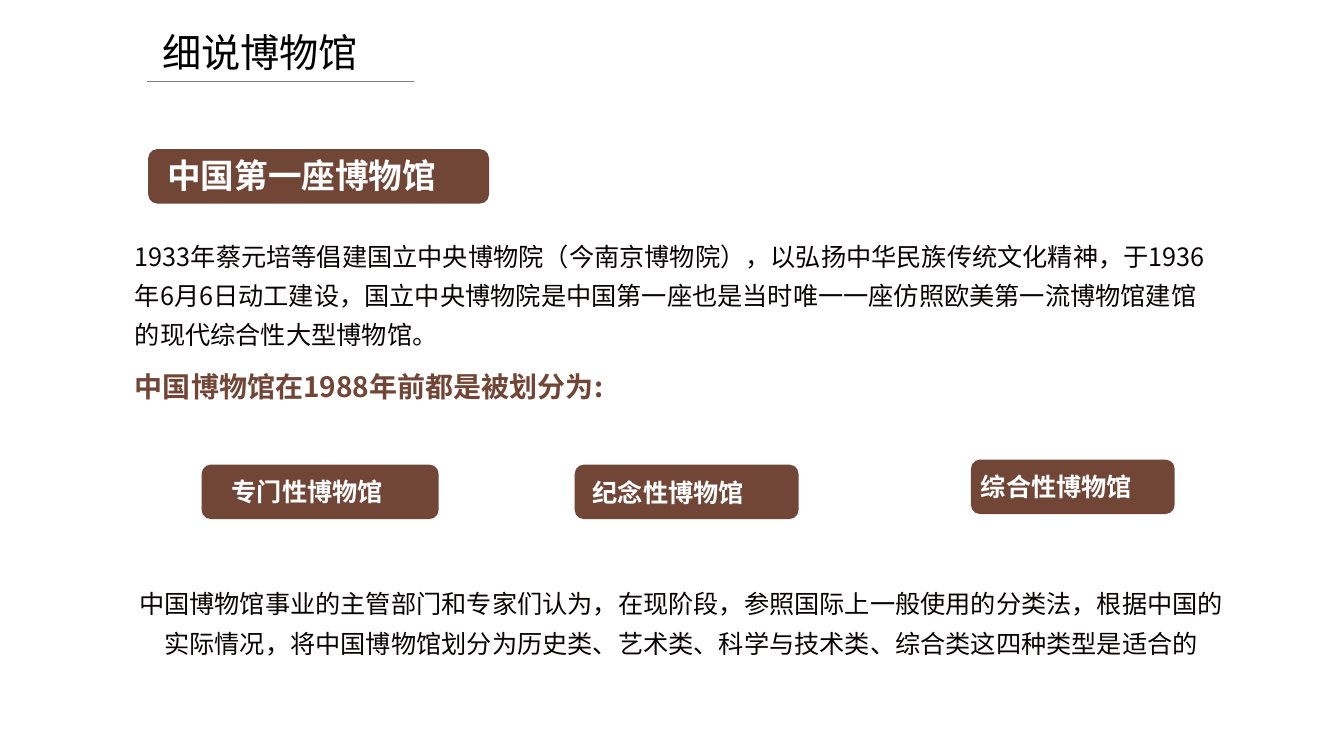
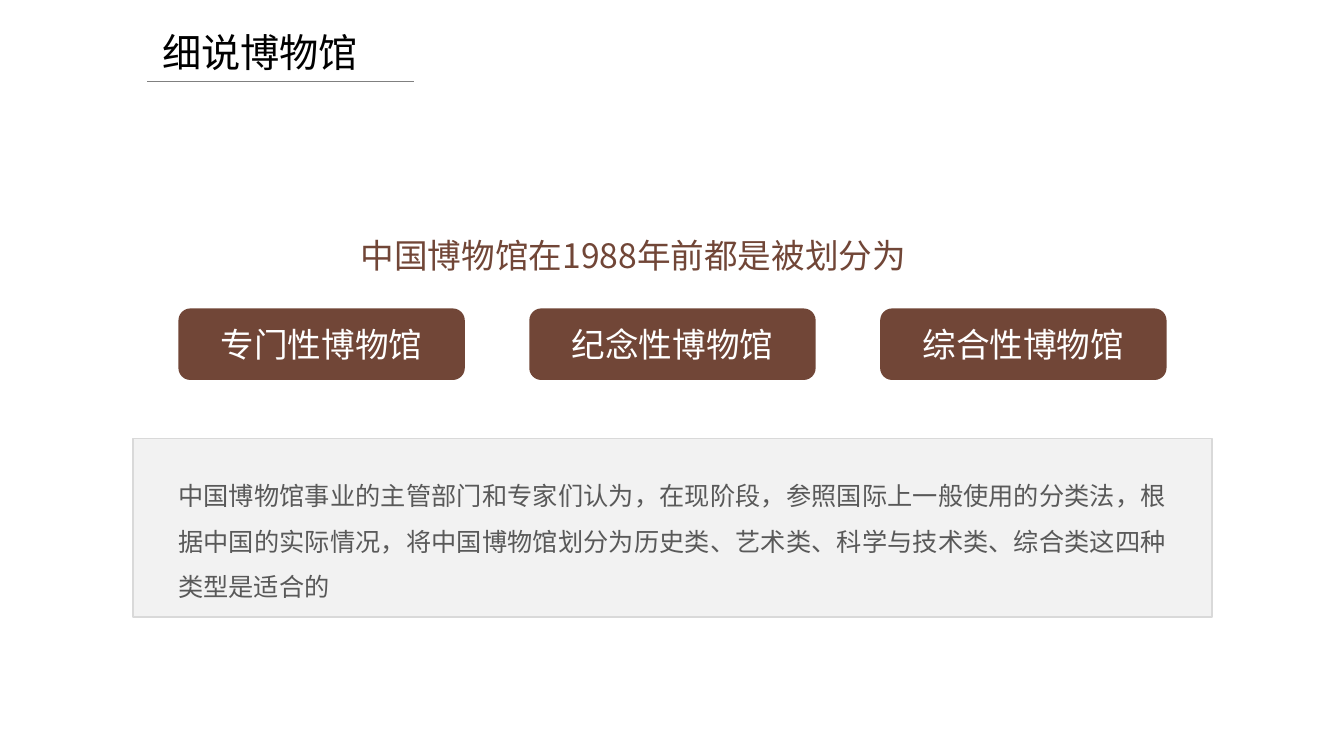
from lxml import etree
from pptx import Presentation
from pptx.dml.color import RGBColor
from pptx.enum.shapes import MSO_CONNECTOR, MSO_SHAPE
from pptx.enum.text import MSO_ANCHOR, MSO_AUTO_SIZE, PP_ALIGN
from pptx.oxml.ns import qn
from pptx.util import Inches, Pt

FONT = "Noto Sans CJK SC"
BROWN = RGBColor(0x71, 0x46, 0x37)
BLACK = RGBColor(0x00, 0x00, 0x00)
INK = RGBColor(0x08, 0x04, 0x04)
WHITE = RGBColor(0xFF, 0xFF, 0xFF)
DARK_GREY = RGBColor(0x59, 0x59, 0x59)
RULE_GREY = RGBColor(0x80, 0x80, 0x80)
PANEL_FILL = RGBColor(0xF2, 0xF2, 0xF2)
PANEL_EDGE = RGBColor(0xD9, 0xD9, 0xD9)
LEFT, CENTER, JUSTIFY = PP_ALIGN.LEFT, PP_ALIGN.CENTER, PP_ALIGN.JUSTIFY
ROUNDED, RECTANGLE = MSO_SHAPE.ROUNDED_RECTANGLE, MSO_SHAPE.RECTANGLE
STRAIGHT = MSO_CONNECTOR.STRAIGHT
TOP, MIDDLE = MSO_ANCHOR.TOP, MSO_ANCHOR.MIDDLE
GROW = MSO_AUTO_SIZE.SHAPE_TO_FIT_TEXT

TITLE = "细说博物馆"
DIVISION = "中国博物馆在1988年前都是被划分为"
KINDS = ["专门性博物馆", "纪念性博物馆", "综合性博物馆"]
HISTORY = (
    "1933年蔡元培等倡建国立中央博物院（今南京博物院），以弘扬中华民族传统文化精神，"
    "于1936年6月6日动工建设，国立中央博物院是中国第一座也是当时唯一一座"
    "仿照欧美第一流博物馆建馆的现代综合性大型博物馆。"
)
OPINION = (
    "中国博物馆事业的主管部门和专家们认为，在现阶段，参照国际上一般使用的分类法，"
    "根据中国的实际情况，将中国博物馆划分为历史类、艺术类、科学与技术类、"
    "综合类这四种类型是适合的"
)


def add_block(slide, box, fill=BROWN, edge=None, kind=ROUNDED):
    block = slide.shapes.add_shape(kind, *map(Inches, box))
    block.shadow.inherit = False
    block.fill.solid()
    block.fill.fore_color.rgb = fill
    if edge is None:
        block.line.fill.background()
    else:
        block.line.color.rgb = edge
        block.line.width = Pt(1)
    return block


def add_text(slide, box, text, size, color, bold=False, align=LEFT, spacing=None, block=None):
    """Write into the given block, or into a new text box that grows with its text."""
    frame = (block or slide.shapes.add_textbox(*map(Inches, box))).text_frame
    frame.word_wrap = True
    frame.vertical_anchor = MIDDLE if block else TOP
    if block is None:
        frame.auto_size = GROW
    paragraph = frame.paragraphs[0]
    paragraph.alignment = align
    if spacing:
        paragraph.line_spacing = spacing
    run = paragraph.add_run()
    run.text = text
    for name, value in {"name": FONT, "size": Pt(size), "bold": bold}.items():
        setattr(run.font, name, value)
    run.font.color.rgb = color
    etree.SubElement(run._r.get_or_add_rPr(), qn("a:ea"), typeface=FONT)


prs = Presentation()
prs.slide_width, prs.slide_height = Inches(13.33), Inches(7.5)
first_museum, classification = [prs.slides.add_slide(prs.slide_layouts[6]) for _ in range(2)]

# Shared header: title over a thin rule
for slide in (first_museum, classification):
    rule = slide.shapes.add_connector(
        STRAIGHT, Inches(1.46), Inches(0.81), Inches(4.11), Inches(0.81))
    rule.line.color.rgb = RULE_GREY
    rule.line.width = Pt(0.5)
    etree.SubElement(rule._element.spPr, qn("a:effectLst"))
    add_text(slide, (1.51, 0.23, 2.56, 0.57), TITLE, 28, BLACK)

# Slide 1: heading and history
add_block(first_museum, (1.47, 1.48, 3.38, 0.54))
add_text(first_museum, (1.56, 1.49, 3.19, 0.5), "中国第一座博物馆", 24, WHITE, True, JUSTIFY)
add_text(first_museum, (1.24, 2.25, 10.89, 1.28), HISTORY, 18, INK, spacing=1.3)
add_text(first_museum, (1.24, 3.62, 5.25, 0.44), DIVISION + ":", 20, BROWN, True)

# Slide 1: the three kinds, as (block left, top, width, label left, label top)
places = [(2, 4.61, 2.35, 2.2, 4.68), (5.7, 4.61, 2.22, 5.78, 4.69), (9.63, 4.56, 2.02, 9.63, 4.63)]
for kind, (left, top, width, label_left, label_top) in zip(KINDS, places):
    add_block(first_museum, (left, top, width, 0.54))
    add_text(first_museum, (label_left, label_top, 1.95, 0.4), kind, 18, WHITE, True, JUSTIFY)

# Slide 1: expert opinion
add_text(first_museum, (1.24, 5.7, 11.03, 0.89), OPINION, 18, INK, align=CENTER, spacing=1.3)

# Slide 2: expert opinion on a grey panel
add_block(classification, (1.32, 4.35, 10.7, 1.77), PANEL_FILL, PANEL_EDGE, RECTANGLE)
add_text(classification, (1.67, 4.57, 10, 1.46), OPINION, 18, DARK_GREY,
         align=JUSTIFY, spacing=1.5)

# Slide 2: heading over three evenly spaced kinds
add_text(classification, (3.48, 2.08, 6.37, 0.64), DIVISION, 24, BROWN,
         align=JUSTIFY, spacing=1.5)
for column, kind in enumerate(KINDS):
    box = (1.77 + column * 3.48, 3.06, 2.84, 0.71)
    add_text(classification, box, kind, 24, WHITE, align=CENTER,
             block=add_block(classification, box))

prs.save("out.pptx")
